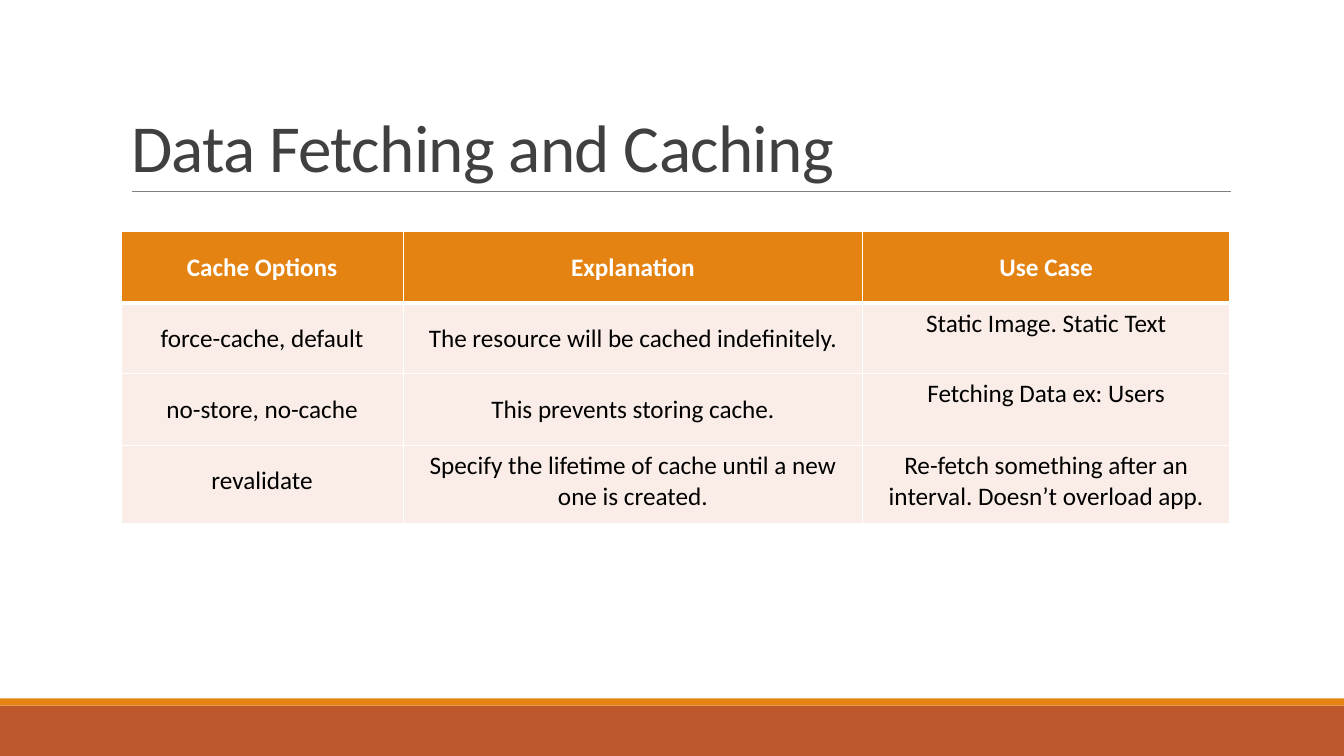
from lxml import etree
from pptx import Presentation
from pptx.dml.color import RGBColor
from pptx.enum.shapes import MSO_CONNECTOR, MSO_SHAPE
from pptx.enum.text import MSO_ANCHOR, MSO_AUTO_SIZE, PP_ALIGN
from pptx.oxml.ns import qn
from pptx.util import Cm, Pt

RECT, LINE = MSO_SHAPE.RECTANGLE, MSO_CONNECTOR.STRAIGHT
BOTTOM, TOP = MSO_ANCHOR.BOTTOM, MSO_ANCHOR.TOP
LEFT, CENTER = PP_ALIGN.LEFT, PP_ALIGN.CENTER

WHITE = RGBColor(0xFF, 0xFF, 0xFF)
BLACK = RGBColor(0x00, 0x00, 0x00)
DARK = RGBColor(0x40, 0x40, 0x40)
GRAY = RGBColor(0x80, 0x80, 0x80)
ORANGE = RGBColor(0xE4, 0x83, 0x12)
RUST = RGBColor(0xBD, 0x58, 0x2C)
BLUSH = RGBColor(0xFA, 0xED, 0xE7)

WIDTH, HEIGHT = 33.87, 19.05
COLS = (7.11, 11.58, 9.25)
ROWS = (1.8, 1.78, 1.8, 1.98)
# Each cell: wording and line spacing
CELLS = (
    (("Cache Options", 1.5), ("Explanation", 1.5), ("Use Case", 1.5)),
    (("force-cache, default", 1.5),
     ("The resource will be cached indefinitely.", 1.5),
     ("Static Image. Static Text", 1)),
    (("no-store, no-cache", 1.5),
     ("This prevents storing cache.", 1.5),
     ("Fetching Data ex: Users", 1)),
    (("revalidate", 1.5),
     ("Specify the lifetime of cache until a new one is created.", 1),
     ("Re-fetch something after an interval. Doesn’t overload app.", 1)),
)


def write(frame, text, size=18, color=BLACK, bold=False, align=CENTER,
          lead=1, track=0):
    """Fill a text frame; track is letter spacing in points."""
    para = frame.paragraphs[0]
    para.alignment = align
    para.line_spacing = lead
    run = para.add_run()
    run.text = text
    font = run.font
    font.name, font.size, font.bold = "Calibri", Pt(size), bold
    font.color.rgb = color
    if track:
        font._element.set("spc", str(round(track * 100)))


def add_bar(slide, top, height, color):
    bar = slide.shapes.add_shape(RECT, 0, Cm(top), Cm(WIDTH), Cm(height))
    bar.shadow.inherit = False
    bar.fill.solid()
    bar.fill.fore_color.rgb = color
    bar.line.fill.background()


def add_footer(slide, height):
    strip = 0.18
    top = HEIGHT - height
    add_bar(slide, top, height, RUST)
    add_bar(slide, top - strip, strip, ORANGE)


def add_title(slide, left, top, width, height):
    title = slide.shapes.title
    title.left, title.top = Cm(left), Cm(top)
    title.width, title.height = Cm(width), Cm(height)
    frame = title.text_frame
    frame.word_wrap = True
    frame.auto_size = MSO_AUTO_SIZE.NONE
    frame.vertical_anchor = BOTTOM
    write(frame, "Data Fetching and Caching", size=48, color=DARK,
          align=LEFT, lead=0.85, track=-0.5)
    base = Cm(top + height)
    rule = slide.shapes.add_connector(
        LINE, Cm(left + 0.28), base, Cm(left + width + 0.02), base)
    rule.line.color.rgb = GRAY
    rule.line.width = Pt(0.5)
    etree.SubElement(rule._element.spPr, qn("a:effectLst"))


def add_edges(cell, **widths):
    """Draw white borders, given in points by side."""
    props = cell._tc.get_or_add_tcPr()
    for side in "LRTB":
        edge = etree.SubElement(props, qn("a:ln" + side),
                                w=str(Pt(widths.get(side, 1))))
        fill = etree.SubElement(edge, qn("a:solidFill"))
        etree.SubElement(fill, qn("a:srgbClr"), val=str(WHITE))


def add_grid(slide, left, top):
    table = slide.shapes.add_table(
        len(ROWS), len(COLS), Cm(left), Cm(top),
        Cm(sum(COLS)), Cm(sum(ROWS))).table
    table.horz_banding = False
    for col, width in zip(table.columns, COLS):
        col.width = Cm(width)
    for i, (row, height) in enumerate(zip(table.rows, ROWS)):
        row.height = Cm(height)
        head = i == 0
        for cell, (text, lead) in zip(row.cells, CELLS[i]):
            add_edges(cell, T=3 if i == 1 else 1, B=3 if head else 1)
            cell.fill.solid()
            cell.fill.fore_color.rgb = ORANGE if head else BLUSH
            cell.vertical_anchor = TOP
            write(cell.text_frame, text, bold=head, lead=lead,
                  color=WHITE if head else BLACK)


def main():
    deck = Presentation()
    deck.slide_width, deck.slide_height = Cm(WIDTH), Cm(HEIGHT)
    slide = deck.slides.add_slide(deck.slide_layouts[5])
    add_footer(slide, 1.27)
    add_title(slide, 3.05, 0.79, 27.94, 4.04)
    add_grid(slide, 3.05, 5.84)
    deck.save("out.pptx")


if __name__ == "__main__":
    main()
